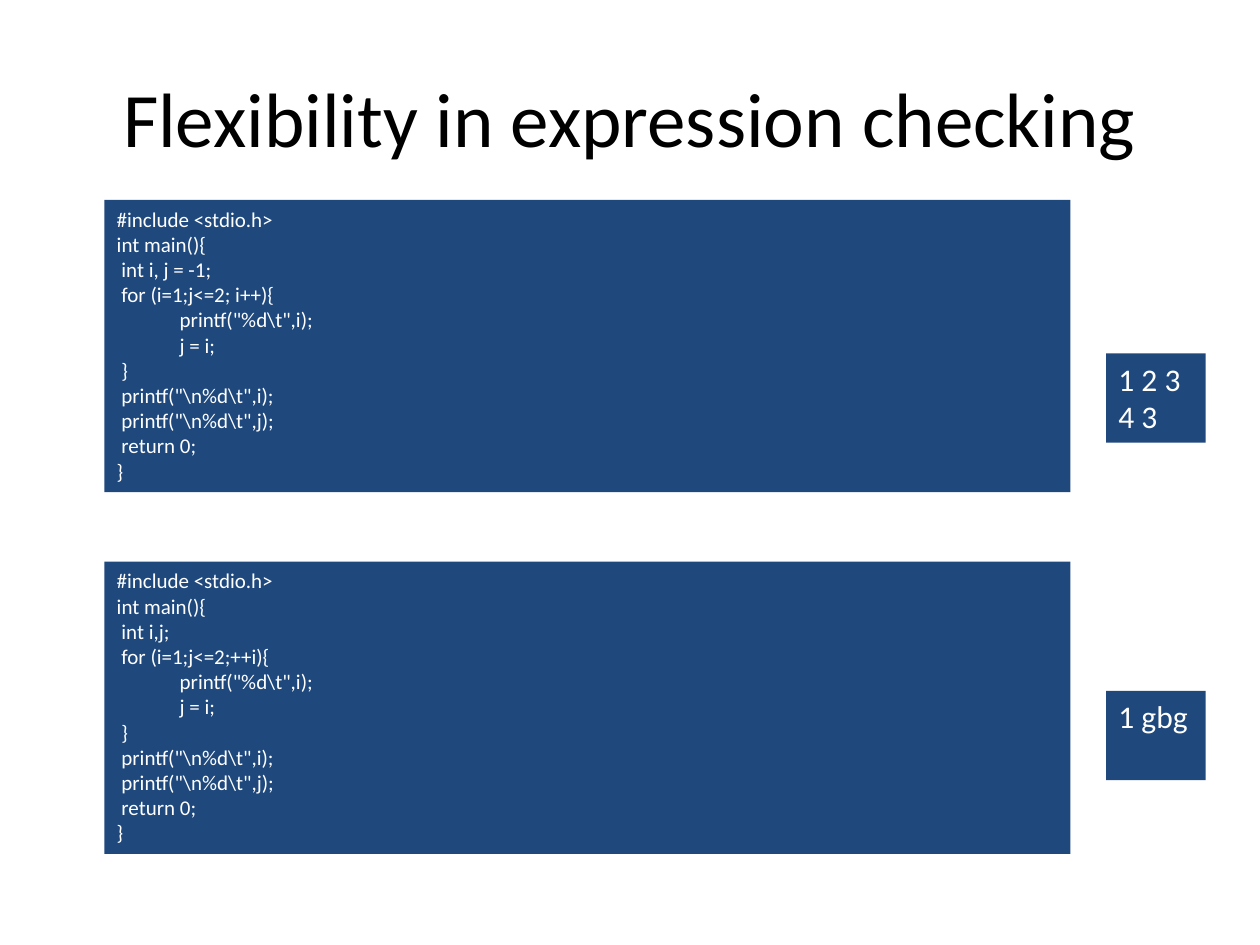
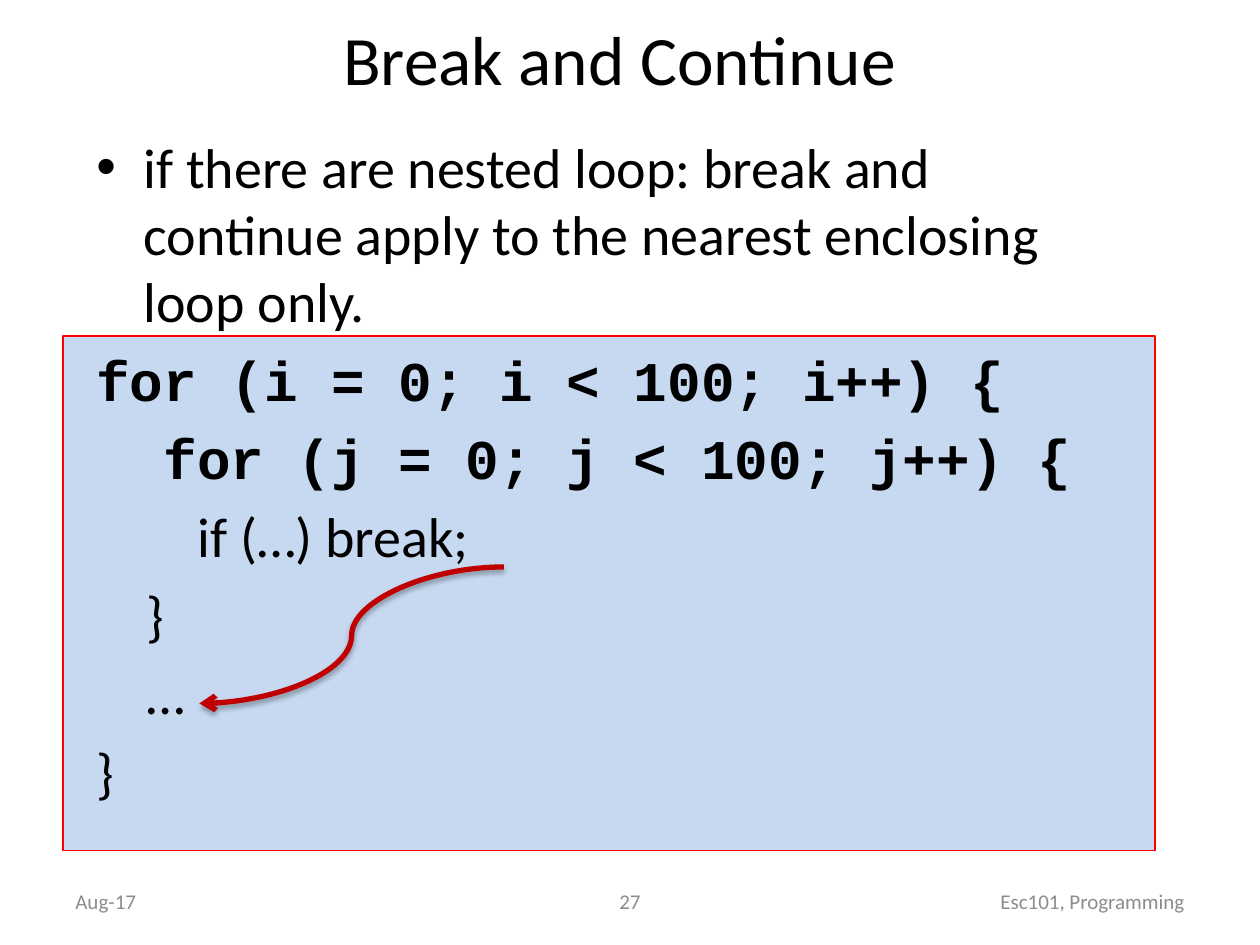
from lxml import etree
from pptx import Presentation
from pptx.dml.color import RGBColor
from pptx.enum import shapes, text
from pptx.oxml import parse_xml
from pptx.oxml import ns
from pptx.util import Pt

BLACK = RGBColor(0, 0, 0)
WHITE = RGBColor(255, 255, 255)
NAVY = RGBColor(0x1F, 0x49, 0x7D)
PALE_BLUE = RGBColor(0xC6, 0xD9, 0xF1)
RED = RGBColor(255, 0, 0)
DARK_RED = RGBColor(0xC0, 0, 0)
GREY = RGBColor(0x8C, 0x8C, 0x8C)
SANS, MONO = "Calibri", "Courier New"

FOOTER = [
    ("Aug-17", 36, 168, text.PP_ALIGN.LEFT),
    ("27", 246, 228, text.PP_ALIGN.CENTER),
    ("Esc101, Programming", 516, 168, text.PP_ALIGN.RIGHT),
]
RULE = ("if there are nested loop: break and continue apply "
        "to the nearest enclosing loop only.")
LOOP_HEADS = ["for (i = 0; i < 100; i++) {", "  for (j = 0; j < 100; j++) {"]
LOOP_REST = ["        if (…) break;", "    }", "    …", "}"]

SHADOW = (
    f'<a:effectLst {ns.nsdecls("a")}>'
    '<a:outerShdw blurRad="39370" dist="22860" dir="5400000" rotWithShape="0">'
    '<a:srgbClr val="000000"><a:alpha val="35000"/></a:srgbClr>'
    '</a:outerShdw></a:effectLst>'
)


def program(declaration, loop_head):
    """Lines of the C program, which varies only in these two lines."""
    return [
        "#include <stdio.h>",
        "int main(){",
        declaration,
        loop_head,
        '    \tprintf("%d\\t",i);',
        "\tj = i;",
        " }",
        r' printf("\n%d\t",i);',
        r' printf("\n%d\t",j);',
        " return 0;",
        "}",
    ]


def place(box):
    return [Pt(length) for length in box]


def style(paragraph, size, color, font=SANS, bold=False):
    for run in paragraph.runs:
        run.font.name, run.font.size, run.font.bold = font, Pt(size), bold
        run.font.color.rgb = color


def add_title_slide(deck, title, box, size):
    slide = deck.slides.add_slide(deck.slide_layouts[5])
    heading = slide.shapes.title
    heading.left, heading.top, heading.width, heading.height = place(box)
    frame = heading.text_frame
    frame.text = title
    frame.vertical_anchor = text.MSO_ANCHOR.MIDDLE
    frame.paragraphs[0].alignment = text.PP_ALIGN.CENTER
    style(frame.paragraphs[0], size, BLACK)
    return slide


def add_panel(slide, box, fill, outline=None):
    panel = slide.shapes.add_shape(shapes.MSO_SHAPE.RECTANGLE, *place(box))
    panel.shadow.inherit = False
    panel.fill.solid()
    panel.fill.fore_color.rgb = fill
    if outline is None:
        panel.line.fill.background()
    else:
        panel.line.color.rgb = outline
        panel.line.width = Pt(0.75)
    return panel


def add_text_panel(slide, box, lines, size):
    frame = add_panel(slide, box, NAVY).text_frame
    frame.word_wrap = True
    frame.vertical_anchor = text.MSO_ANCHOR.TOP
    frame.text = "\n".join(lines)
    for paragraph in frame.paragraphs:
        paragraph.alignment = text.PP_ALIGN.LEFT
        style(paragraph, size, WHITE)


def add_bullet(paragraph, indent):
    properties = paragraph._p.get_or_add_pPr()
    properties.set("marL", str(Pt(indent)))
    properties.set("indent", str(-Pt(indent)))
    font = etree.SubElement(properties, ns.qn("a:buFont"))
    font.set("typeface", "Arial")
    etree.SubElement(properties, ns.qn("a:buChar")).set("char", "•")


def add_nested_loops(slide, box):
    frame = slide.shapes.add_textbox(*place(box)).text_frame
    frame.word_wrap = True
    frame.text = "\n".join([RULE, *LOOP_HEADS, *LOOP_REST])
    rule, *code = frame.paragraphs
    add_bullet(rule, 27)
    style(rule, 32, BLACK)
    for number, paragraph in enumerate(code):
        is_head = number < len(LOOP_HEADS)
        paragraph.space_before = Pt(6.4)
        style(paragraph, 32, BLACK, MONO if is_head else SANS, is_head)


def add_footer(slide):
    for label, left, width, alignment in FOOTER:
        frame = slide.shapes.add_textbox(*place((left, 500.4, width, 28.8))).text_frame
        frame.word_wrap = True
        frame.vertical_anchor = text.MSO_ANCHOR.MIDDLE
        frame.text = label
        frame.paragraphs[0].alignment = alignment
        style(frame.paragraphs[0], 12, GREY)


def add_jump_arrow(slide, start, end):
    arrow = slide.shapes.add_connector(
        shapes.MSO_CONNECTOR.CURVE, *place(start), *place(end))
    arrow.line.color.rgb = DARK_RED
    arrow.line.width = Pt(3)
    line = arrow.line._get_or_add_ln()
    etree.SubElement(line, ns.qn("a:tailEnd")).set("type", "arrow")
    arrow._element.spPr.append(parse_xml(SHADOW))


def build_expression_slide(deck):
    slide = add_title_slide(deck, "Flexibility in expression checking",
                            (36, 21.6, 648, 90), 44)
    examples = [
        (114.2, program(" int i, j = -1;", " for (i=1;j<=2; i++){"),
         202, ["1 2 3", "4 3"]),
        (321, program(" int i,j;", " for (i=1;j<=2;++i){"),
         394.8, ["1 gbg"]),
    ]
    for code_top, code, output_top, output in examples:
        add_text_panel(slide, (59.6, code_top, 552, 167), code, 12)
        add_text_panel(slide, (632, output_top, 57, 51), output, 18)


def build_break_slide(deck):
    slide = add_title_slide(deck, "Break and Continue", (48, 6, 612, 54), 39.6)
    add_panel(slide, (36, 192, 624, 294), PALE_BLUE, RED)
    add_nested_loops(slide, (48, 72, 612, 417))
    add_footer(slide)
    add_jump_arrow(slide, (288, 324), (114, 402))


def main():
    deck = Presentation()
    deck.slide_width, deck.slide_height = Pt(720), Pt(540)
    build_expression_slide(deck)
    build_break_slide(deck)
    deck.save("out.pptx")


if __name__ == "__main__":
    main()
